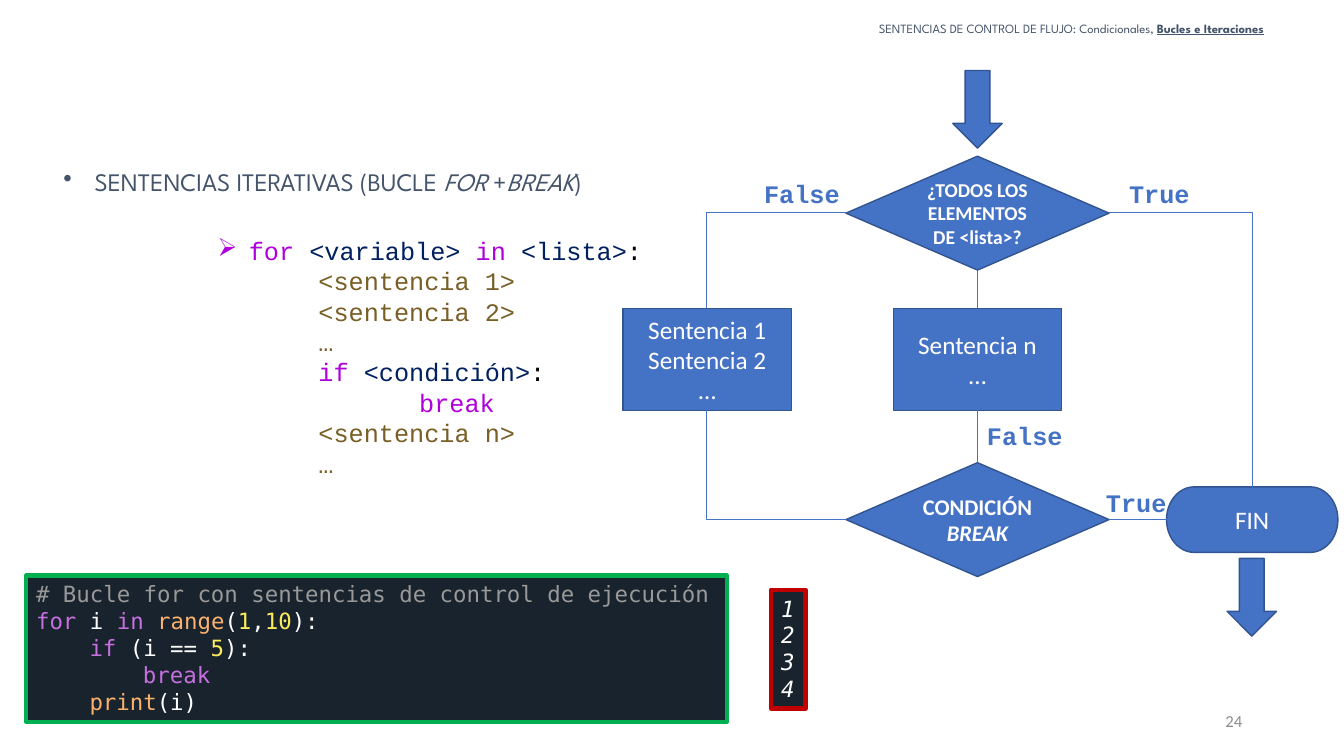
from lxml import etree
from pptx import Presentation
from pptx import util as u
from pptx.dml.color import RGBColor
from pptx.enum import shapes, text
from pptx.oxml import ns

BLUE = RGBColor(0x44, 0x72, 0xC4)
BLUE_EDGE = RGBColor(0x32, 0x54, 0x91)
SLATE = RGBColor(0x44, 0x54, 0x6A)
WHITE = RGBColor(0xFF, 0xFF, 0xFF)
BLACK = RGBColor(0, 0, 0)
GRAY = RGBColor(0x8C, 0x8C, 0x8C)
PURPLE = RGBColor(0xAF, 0x00, 0xDB)
NAVY = RGBColor(0x00, 0x20, 0x60)
BROWN = RGBColor(0x79, 0x5E, 0x26)
DARK = RGBColor(0x19, 0x23, 0x2D)
GREEN = RGBColor(0x00, 0xB0, 0x50)
RED = RGBColor(0xC0, 0x00, 0x00)
COMMENT = RGBColor(0x99, 0x99, 0x99)
KEYWORD = RGBColor(0xC6, 0x70, 0xE0)
BUILTIN = RGBColor(0xFA, 0xB1, 0x6C)
NUMBER = RGBColor(0xFA, 0xED, 0x5C)

HEADING, BODY = "League Spartan", "Calibri"
CODE, CONSOLE = "Courier New", "DejaVu Sans Mono"
ALIGN = text.PP_ALIGN
KIND = shapes.MSO_SHAPE


def write(shape, lines, font, size, color, align=ALIGN.LEFT,
          anchor=text.MSO_ANCHOR.TOP, wrap=True):
    """Fill a shape with lines, each a list of (words, font values) runs."""
    frame = shape.text_frame
    frame.word_wrap, frame.vertical_anchor = wrap, anchor
    for index, runs in enumerate(lines):
        paragraph = frame.paragraphs[0] if index == 0 else frame.add_paragraph()
        paragraph.alignment = align
        for words, values in runs:
            run = paragraph.add_run()
            run.text = words
            style = {"name": font, "size": u.Pt(size), "color": color} | values
            run.font.color.rgb = style.pop("color")
            for name, value in style.items():
                setattr(run.font, name, value)
    return frame.paragraphs


def indent(paragraph, margin, bullet=None):
    """Indent a paragraph, hanging a bullet in front of it if one is given."""
    properties = paragraph._p.get_or_add_pPr()
    properties.set("marL", str(u.Inches(margin)))
    properties.set("indent", str(u.Inches(-0.31 if bullet else 0)))
    if bullet:
        etree.SubElement(properties, ns.qn("a:buChar")).set("char", bullet)


presentation = Presentation()
presentation.slide_width, presentation.slide_height = u.Inches(13.33), u.Inches(7.5)
slide = presentation.slides.add_slide(presentation.slide_layouts[6])

# Header, title and page number
header = slide.shapes.add_textbox(*map(u.Inches, (7.97, 0.17, 5.31, 0.28)))
paragraphs = write(header, [[
    ("SENTENCIAS DE CONTROL DE FLUJO: Condicionales, ", {}),
    ("Bucles e Iteraciones", {"bold": True, "underline": True}),
]], HEADING, 9, SLATE, ALIGN.CENTER)
paragraphs[0].line_spacing = 0.9

title = slide.shapes.add_textbox(*map(u.Inches, (0.53, 1.6, 6.81, 0.4)))
paragraphs = write(title, [[
    ("SENTENCIAS ITERATIVAS (BUCLE ", {}), ("FOR", {"italic": True}),
    (" +", {}), ("BREAK", {"italic": True}), (")", {}),
]], HEADING, 18, SLATE)
indent(paragraphs[0], 0.31, "•")

page = slide.shapes.add_textbox(*map(u.Inches, (9.42, 6.95, 3, 0.4)))
write(page, [[("24", {})]], BODY, 12, GRAY, ALIGN.RIGHT, text.MSO_ANCHOR.MIDDLE)

# Syntax of the loop
purple, navy, black = {"color": PURPLE}, {"color": NAVY}, {"color": BLACK}
SYNTAX = [
    (2.31, [("for ", purple), ("<variable> ", navy), ("in ", purple),
            ("<lista>", navy), (":", black)]),
    (3, [("<sentencia 1>", {})]),
    (3, [("<sentencia 2>", {})]),
    (3, [("…", {})]),
    (3, [("if ", purple), ("<condición>", navy), (":", black)]),
    (4, [("break", purple)]),
    (3, [("<sentencia n>", {})]),
    (3, [("…", {})]),
]
syntax = slide.shapes.add_textbox(*map(u.Inches, (0.06, 2.28, 6.67, 2.52)))
paragraphs = write(syntax, [runs for margin, runs in SYNTAX], CODE, 18, BROWN)
for paragraph, (margin, runs) in zip(paragraphs, SYNTAX):
    paragraph.line_spacing = u.Pt(21.75)
    indent(paragraph, margin, "➢" if margin < 3 else None)

# Flowchart: kind, place, size of text, lines
bold = {"bold": True}
FLOW = [
    (KIND.DOWN_ARROW, (9.45, 0.7, 0.49, 0.77), 18, []),
    (KIND.FLOWCHART_DECISION, (8.39, 1.55, 2.61, 1.13), 14,
     [[("¿TODOS LOS ELEMENTOS DE <lista>?", bold)]]),
    (KIND.FLOWCHART_PROCESS, (6.18, 3.06, 1.67, 1.01), 18,
     [[("Sentencia 1", {})], [("Sentencia 2", {})], [("…", {})]]),
    (KIND.FLOWCHART_PROCESS, (8.86, 3.06, 1.67, 1.01), 18,
     [[("Sentencia n", {})], [("…", {})]]),
    (KIND.FLOWCHART_DECISION, (8.39, 4.59, 2.61, 1.13), 16,
     [[("CONDICIÓN ", bold), ("BREAK", bold | {"italic": True})]]),
    (KIND.FLOWCHART_TERMINATOR, (11.57, 4.83, 1.7, 0.65), 18, [[("FIN", {})]]),
    (KIND.DOWN_ARROW, (12.17, 5.54, 0.49, 0.77), 18, []),
]
for kind, place, size, lines in FLOW:
    step = slide.shapes.add_shape(kind, *map(u.Inches, place))
    step.shadow.inherit = False
    step.fill.solid()
    step.fill.fore_color.rgb = BLUE
    step.line.color.rgb, step.line.width = BLUE_EDGE, u.Pt(1)
    write(step, lines, BODY, size, WHITE, ALIGN.CENTER, text.MSO_ANCHOR.MIDDLE)

# Links between steps; a bent one leaves sideways and turns once
LINKS = [
    (11, 2.11, 12.42, 4.83),
    (8.39, 2.11, 7.01, 3.06),
    (8.39, 5.15, 7.01, 4.07),
    (11, 5.15, 11.57, 5.15),
    (9.69, 2.68, 9.69, 3.06),
    (9.69, 4.07, 9.69, 4.59),
]
for left, top, right, bottom in LINKS:
    link = slide.shapes.add_connector(
        shapes.MSO_CONNECTOR.STRAIGHT, *map(u.Inches, (left, top, right, bottom)))
    link.line.color.rgb, link.line.width = BLUE, u.Pt(0.5)
    properties = link._element.spPr
    etree.SubElement(properties, ns.qn("a:effectLst"))
    if left != right and top != bottom:
        properties.find(ns.qn("a:prstGeom")).set("prst", "bentConnector2")

for answer, left, top, width in [
    ("False", 7.48, 1.72, 0.96), ("True", 11.1, 1.72, 0.81),
    ("False", 9.69, 4.12, 0.96), ("True", 10.87, 4.79, 0.81),
]:
    label = slide.shapes.add_textbox(*map(u.Inches, (left, top, width, 0.4)))
    write(label, [[(answer, bold)]], CODE, 18, BLUE, wrap=False)

# Example program and its output, with indent levels of four characters
keyword, builtin, number = {"color": KEYWORD}, {"color": BUILTIN}, {"color": NUMBER}
PROGRAM = [
    (0, [("# Bucle for con sentencias de control de ejecución", {"color": COMMENT})]),
    (0, [("for ", keyword), ("i ", {}), ("in ", keyword), ("range", builtin),
         ("(", {}), ("1", number), (",", {}), ("10", number), ("):", {})]),
    (1, [("if", keyword), (" (i == ", {}), ("5", number), ("):", {})]),
    (2, [("break", keyword)]),
    (1, [("print", builtin), ("(i)", {})]),
]
OUTPUT = [(0, [(digit, {"italic": True})]) for digit in "1234"]
for place, edge, rows, wrap in [
    ((0.26, 5.71, 6.95, 1.45), GREEN, PROGRAM, True),
    ((7.65, 5.85, 0.34, 1.18), RED, OUTPUT, False),
]:
    panel = slide.shapes.add_shape(KIND.RECTANGLE, *map(u.Inches, place))
    panel.shadow.inherit = False
    panel.fill.solid()
    panel.fill.fore_color.rgb = DARK
    panel.line.color.rgb, panel.line.width = edge, u.Pt(3)
    paragraphs = write(panel, [runs for level, runs in rows], CONSOLE, 16, WHITE, wrap=wrap)
    for paragraph, (level, runs) in zip(paragraphs, rows):
        indent(paragraph, 0.53 * level)

presentation.save("out.pptx")
